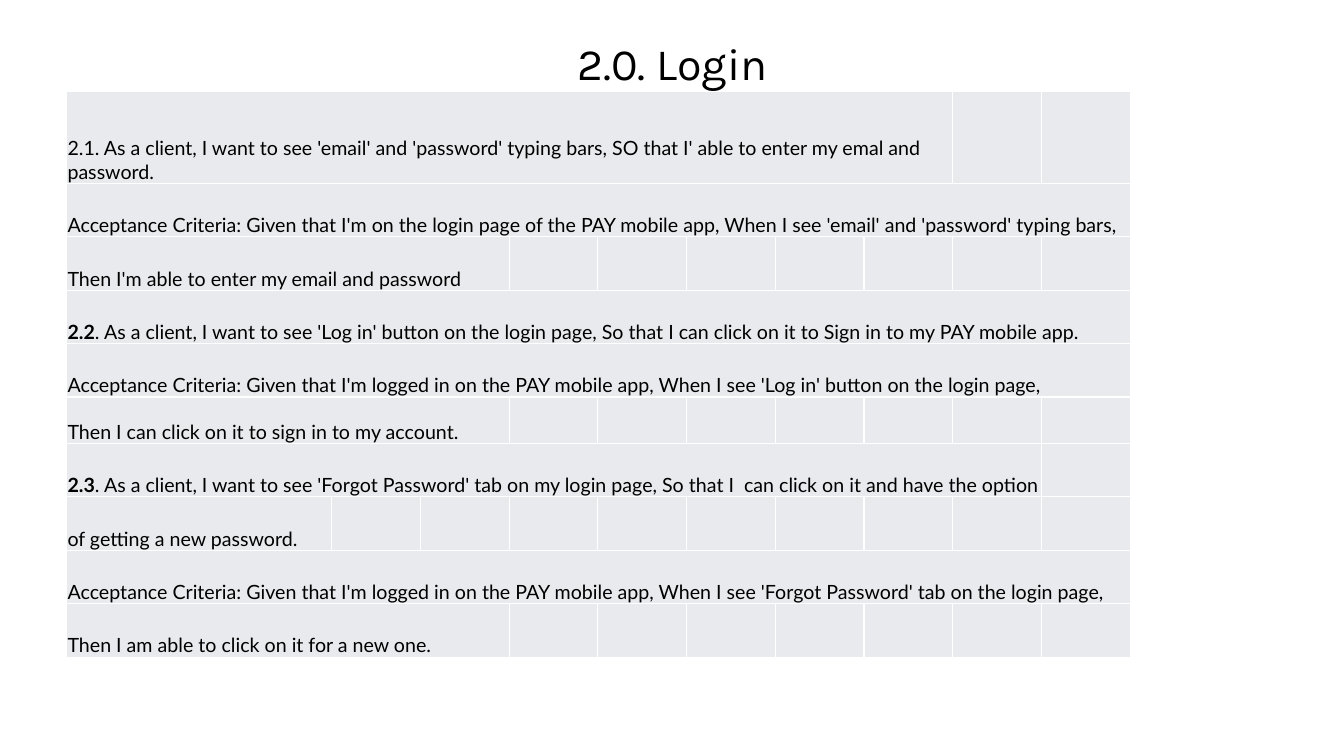
import pptx
import pptx.dml.color
import pptx.enum.text
import pptx.oxml
import pptx.oxml.ns
import pptx.util

Inches = pptx.util.Inches
Pt = pptx.util.Pt
BLACK = pptx.dml.color.RGBColor(0x00, 0x00, 0x00)
CELL_GREY = pptx.dml.color.RGBColor(0xE8, 0xEA, 0xED)
BORDER_WHITE = pptx.dml.color.RGBColor(0xFF, 0xFF, 0xFF)

FIRST_COLUMN, OTHER_COLUMN, COLUMN_COUNT = 2.63, 0.88, 10
ROW_HEIGHT = 0.53

# Row height, columns spanned by the text, bold label, text
STORY_ROWS = [
    (0.91, 8, "", "2.1. As a client, I want to see 'email' and 'password' typing bars, "
     "SO that I' able to enter my emal and password."),
    (ROW_HEIGHT, 10, "", "Acceptance Criteria: Given that I'm on the login page of the PAY mobile app, "
     "When I see 'email' and 'password' typing bars,"),
    (ROW_HEIGHT, 3, "", "Then I'm able to enter my email and password"),
    (ROW_HEIGHT, 10, "2.2", ". As a client, I want to see 'Log in' button on the login page, "
     "So that I can click on it to Sign in to my PAY mobile app."),
    (ROW_HEIGHT, 10, "", "Acceptance Criteria: Given that I'm logged in on the PAY mobile app, "
     "When I see 'Log in' button on the login page,"),
    (0.46, 3, "", "Then I can click on it to sign in to my account."),
    (ROW_HEIGHT, 9, "2.3", ". As a client, I want to see 'Forgot Password' tab on my login page, "
     "So that I  can click on it and have the option"),
    (ROW_HEIGHT, 1, "", "of getting a new password."),
    (ROW_HEIGHT, 10, "", "Acceptance Criteria: Given that I'm logged in on the PAY mobile app, "
     "When I see 'Forgot Password' tab on the login page,"),
    (ROW_HEIGHT, 3, "", "Then I am able to click on it for a new one."),
]


def add_span(para, text, font_name, size, bold=False):
    span = para.add_run()
    span.text = text
    span.font.name = font_name
    span.font.size = Pt(size)
    span.font.bold = bold
    span.font.color.rgb = BLACK


def style_cell(cell):
    """Give a cell its fill, tight margins, bottom anchor and white borders."""
    cell.fill.solid()
    cell.fill.fore_color.rgb = CELL_GREY
    cell.margin_left = cell.margin_right = cell.margin_top = Inches(0.01)
    cell.margin_bottom = 0
    cell.vertical_anchor = pptx.enum.text.MSO_ANCHOR.BOTTOM
    properties = cell._tc.get_or_add_tcPr()
    for position, side in enumerate(("lnL", "lnR", "lnT", "lnB")):
        border = pptx.oxml.parse_xml(
            f'<a:{side} {pptx.oxml.ns.nsdecls("a")} w="{Pt(1)}"><a:solidFill>'
            f'<a:srgbClr val="{BORDER_WHITE}"/></a:solidFill></a:{side}>')
        properties.insert(position, border)


deck = pptx.Presentation()
deck.slide_width = Inches(13.33)
deck.slide_height = Inches(7.5)
page = deck.slides.add_slide(deck.slide_layouts[6])

title_box = page.shapes.add_textbox(Inches(0.92), Inches(0.4), Inches(11.5), Inches(0.51))
title_frame = title_box.text_frame
title_frame.word_wrap = True
title_frame.vertical_anchor = pptx.enum.text.MSO_ANCHOR.MIDDLE
title_para = title_frame.paragraphs[0]
title_para.alignment = pptx.enum.text.PP_ALIGN.CENTER
title_para.line_spacing = 0.9
add_span(title_para, "2.0. Login", "Karla", 32)

table_width = FIRST_COLUMN + (COLUMN_COUNT - 1) * OTHER_COLUMN
table_height = sum(height for height, *_ in STORY_ROWS)
table = page.shapes.add_table(
    len(STORY_ROWS), COLUMN_COUNT, Inches(0.66), Inches(0.91),
    Inches(table_width), Inches(table_height)).table
table.first_row = False
table.horz_banding = False
for index, column in enumerate(table.columns):
    column.width = Inches(OTHER_COLUMN if index else FIRST_COLUMN)

for index, (height, columns_spanned, label, text) in enumerate(STORY_ROWS):
    row = table.rows[index]
    row.height = Inches(height)
    for cell in row.cells:
        style_cell(cell)
    story_cell = table.cell(index, 0)
    if columns_spanned > 1:
        story_cell.merge(table.cell(index, columns_spanned - 1))
    story_para = story_cell.text_frame.paragraphs[0]
    if label:
        add_span(story_para, label, "Lato", 14, bold=True)
    add_span(story_para, text, "Lato", 14)

deck.save("out.pptx")
